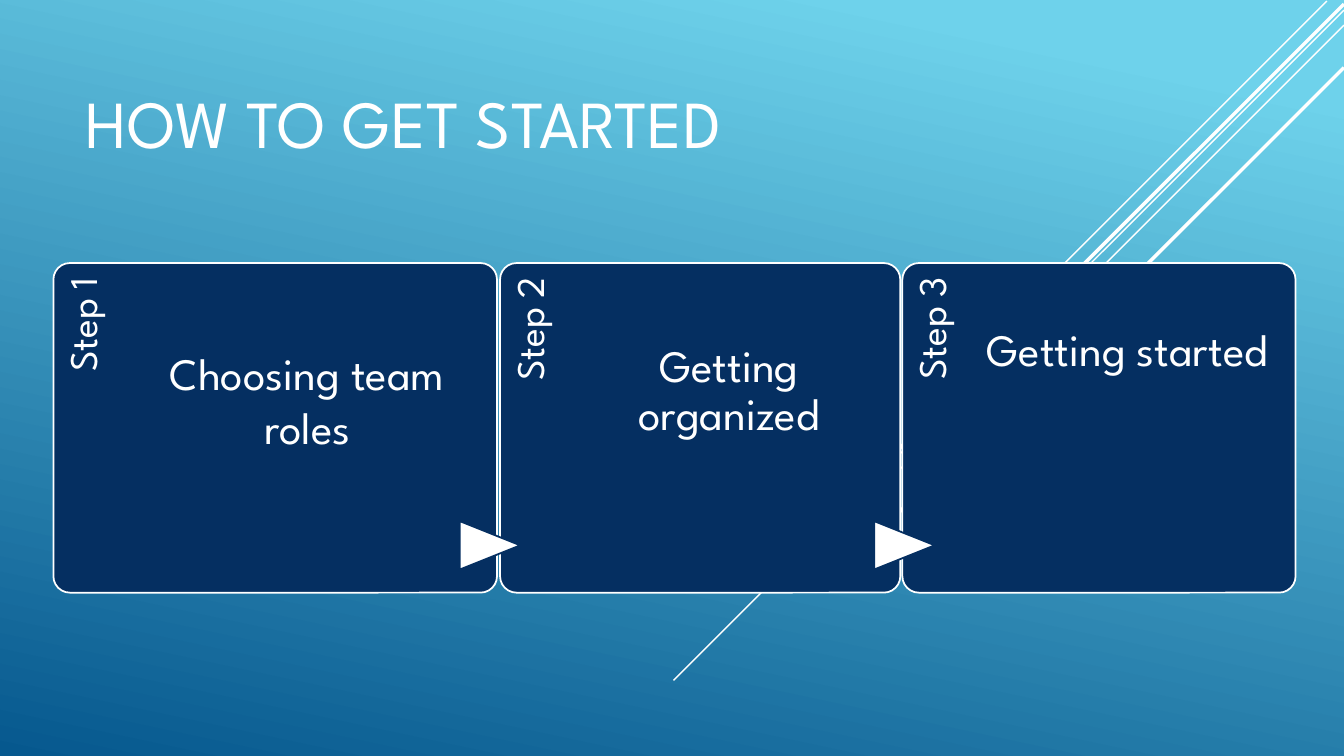
from lxml import etree
from pptx import Presentation
from pptx.dml.color import RGBColor
from pptx.enum.shapes import MSO_CONNECTOR, MSO_SHAPE
from pptx.enum.text import MSO_ANCHOR, PP_ALIGN
from pptx.oxml.ns import qn
from pptx.util import Inches, Pt

COLORS = {
    name: RGBColor.from_string(value)
    for name, value in {
        "sky": "6ED2EB", "sea": "06588E", "navy": "052F61", "white": "FFFFFF",
    }.items()
}
FONT = "League Spartan"
SLIDE_WIDTH = 13.33
CARD_TOP, CARD_HEIGHT = 2.61, 3.27
LABEL_LENGTH = 2.68
LABEL_SHARE, TEXT_SHARE = 0.2, 0.745  # shares of a card's width


def write(shape, text, size, align, insets, spacing):
    """Fill a shape with one white paragraph; insets run left, top, right, bottom."""
    frame = shape.text_frame
    frame.word_wrap = True
    frame.margin_left, frame.margin_top, frame.margin_right, frame.margin_bottom = map(Inches, insets)
    paragraph = frame.paragraphs[0]
    paragraph.text = text
    paragraph.alignment = align
    paragraph.line_spacing = spacing
    paragraph.font.name = FONT
    paragraph.font.size = Pt(size)
    paragraph.font.color.rgb = COLORS["white"]


def add_filled(kind, left, top, width, height, fill, line):
    shape = slide.shapes.add_shape(kind, Inches(left), Inches(top), Inches(width), Inches(height))
    shape.shadow.inherit = False
    shape.fill.solid()
    shape.fill.fore_color.rgb = COLORS[fill]
    shape.line.color.rgb = COLORS[line]
    shape.line.width = Pt(1.25)
    return shape


presentation = Presentation()
presentation.slide_width = Inches(SLIDE_WIDTH)
presentation.slide_height = Inches(7.5)
slide = presentation.slides.add_slide(presentation.slide_layouts[5])

# Background
background = slide.background.fill
background.gradient()
background.gradient_angle = 360 - 102
for stop, (position, color) in zip(background.gradient_stops, [(0.1, "sky"), (1, "sea")]):
    stop.position = position
    stop.color.rgb = COLORS[color]

# Diagonal rays at 45 degrees: start x, start y, run, line width
rays = [
    (13.16, 0.01, 4.17, 1),
    (SLIDE_WIDTH, 0.1, 6.65, 1),
    (SLIDE_WIDTH, 0.25, 5.42, 1),
    (SLIDE_WIDTH, 0.04, 5.3, 2.5),
    (SLIDE_WIDTH, 0.67, 4.75, 2.5),
]
for x, y, run, weight in rays:
    ray = slide.shapes.add_connector(
        MSO_CONNECTOR.STRAIGHT, Inches(x), Inches(y), Inches(x - run), Inches(y + run))
    ray.line.color.rgb = COLORS["white"]
    ray.line.width = Pt(weight)
    etree.SubElement(ray._element.spPr, qn("a:effectLst"))

# Title
title = slide.shapes.title
title.left, title.top, title.width, title.height = map(Inches, (0.75, 0.75, 8.75, 0.91))
write(title, "HOW TO GET STARTED", 48, PP_ALIGN.LEFT, (0.1, 0.05, 0.1, 0.05), Pt(42))
title.text_frame.vertical_anchor = MSO_ANCHOR.BOTTOM

# Steps: left, width, text, text inset from the top, line spacing, left of the arrow leading in
steps = [
    (0.53, 4.4, "Choosing team roles", 0.82, 1.0, None),
    (4.96, 3.97, "Getting organized", 0.8, 0.9, 4.62),
    (8.95, 3.9, "Getting started", 0.8, 0.9, 8.73),
]
for number, (left, width, text, text_inset, spacing, arrow_left) in enumerate(steps, 1):
    card = add_filled(MSO_SHAPE.ROUNDED_RECTANGLE, left, CARD_TOP, width, CARD_HEIGHT, "navy", "white")
    card.adjustments[0] = 0.05

    label_width = LABEL_SHARE * width
    turn_shift = (LABEL_LENGTH - label_width) / 2
    label = slide.shapes.add_textbox(
        Inches(left - turn_shift), Inches(CARD_TOP + turn_shift), Inches(LABEL_LENGTH), Inches(label_width))
    label.rotation = 270
    write(label, f"Step {number}", 28, PP_ALIGN.RIGHT, (0, 0.1, 0.14, 0), 0.9)

    if arrow_left:
        arrow = add_filled(MSO_SHAPE.FLOWCHART_EXTRACT, arrow_left, 5.11, 0.48, 0.6, "white", "navy")
        arrow.rotation = 90

    description = slide.shapes.add_textbox(
        Inches(left + label_width), Inches(CARD_TOP), Inches(TEXT_SHARE * width), Inches(CARD_HEIGHT))
    write(description, text, 32, PP_ALIGN.CENTER, (0, text_inset, 0, 0), spacing)

presentation.save("out.pptx")
